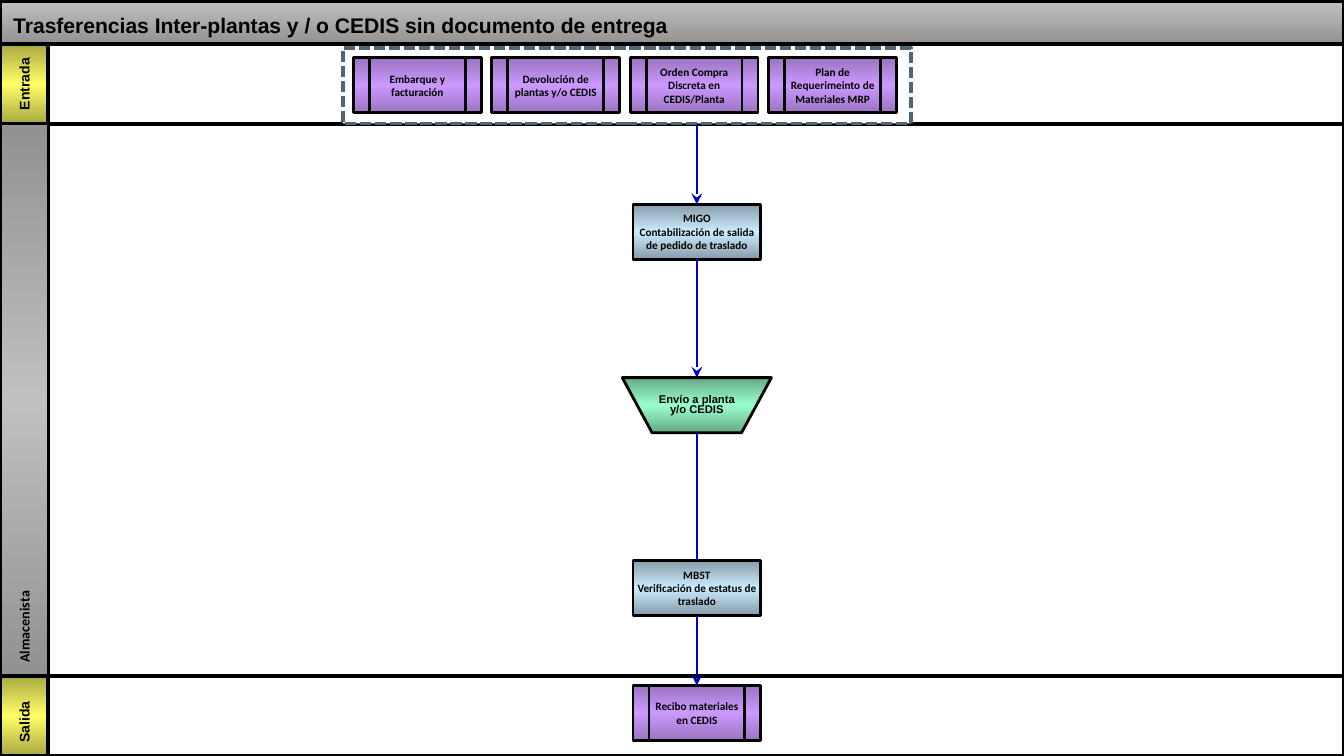
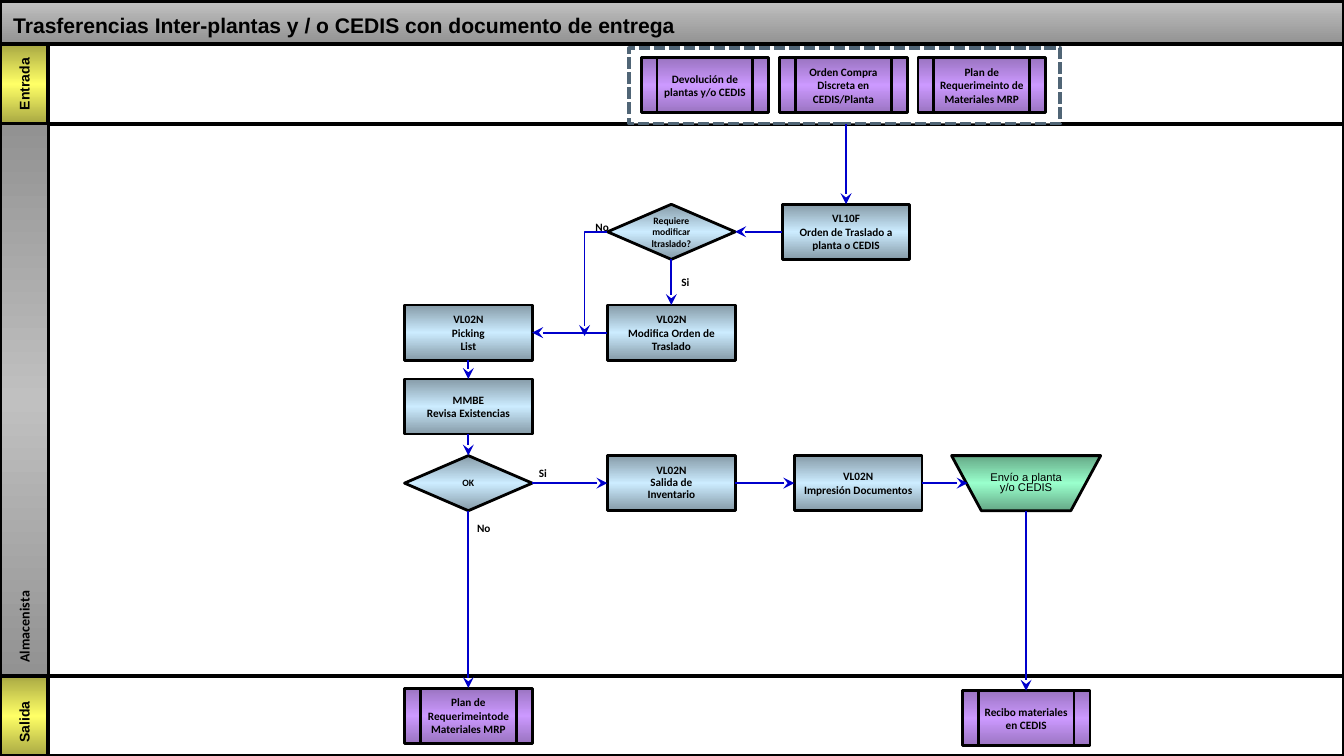
from collections import namedtuple
from dataclasses import dataclass

from lxml.etree import SubElement
from pptx import Presentation
from pptx.dml.color import RGBColor
from pptx.enum.dml import MSO_LINE
from pptx.enum.shapes import MSO_CONNECTOR, MSO_SHAPE
from pptx.enum.text import MSO_ANCHOR, PP_ALIGN
from pptx.oxml.ns import qn
from pptx.util import Inches, Pt


@dataclass(frozen=True)
class Theme:
    page: str = "F2F2F2"
    lane: str = "FFFFFF"
    ink: str = "000000"
    arrow: str = "0000CC"
    dash: str = "506576"
    header: tuple = ("C0C0C0", "929292")
    role: tuple = ("929292", "C0C0C0", "929292")
    gate: tuple = ("A8A843", "FFFF66", "A8A843")
    step: tuple = ("869BA8", "CCECFF", "869BA8")
    process: tuple = ("9A74C1", "CC99FF", "9A74C1")
    manual: tuple = ("65A886", "99FFCC", "65A886")
    heading_font: str = "Arial"
    body_font: str = "Calibri"
    title_size: float = 11.3
    lane_size: float = 7.5
    node_size: float = 6
    decision_size: float = 5.2


THEME = Theme()
Kind = namedtuple("Kind", "preset colors inset size font spacing")
STEP = Kind(MSO_SHAPE.RECTANGLE, THEME.step, 0.02, THEME.node_size, THEME.body_font, None)
DECISION = Kind(MSO_SHAPE.DIAMOND, THEME.step, 0, THEME.decision_size, THEME.body_font, None)
PROCESS = Kind(MSO_SHAPE.FLOWCHART_PREDEFINED_PROCESS, THEME.process, 0,
               THEME.node_size, THEME.body_font, None)
MANUAL = Kind(MSO_SHAPE.FLOWCHART_MANUAL_OPERATION, THEME.manual, 0.02,
              THEME.node_size, THEME.heading_font, 0.8)

WIDTH = 10
HEIGHT = WIDTH * 9 / 16
SIDEBAR = 0.36
ENTRY_TOP, ROLE_TOP, EXIT_TOP = 0.33, 0.92, 5.03
NODE_W, NODE_H, MANUAL_W = 0.95, 0.41, 1.11
ENTRY_NODE_TOP, ENTRY_STEP = 0.43, 1.03


class Box(namedtuple("Box", "left top width height")):
    @property
    def north(self):
        return self.left + self.width / 2, self.top

    @property
    def south(self):
        return self.left + self.width / 2, self.top + self.height

    @property
    def west(self):
        return self.left, self.top + self.height / 2

    @property
    def east(self):
        return self.left + self.width, self.top + self.height / 2


def paint_gradient(shape, colors):
    """Fill from top to bottom with evenly spaced colour stops."""
    shape.fill.gradient()
    shape.fill.gradient_angle = 270
    stops = shape._element.spPr.find(".//" + qn("a:gsLst"))
    for stop in list(stops):
        stops.remove(stop)
    for i, color in enumerate(colors):
        stop = SubElement(stops, qn("a:gs"), pos=str(100000 * i // (len(colors) - 1)))
        SubElement(stop, qn("a:srgbClr"), val=color)


def add_block(slide, box, fill, line_color=THEME.ink, line_width=2, preset=MSO_SHAPE.RECTANGLE):
    """Draw an outlined shape; fill is one colour or a tuple of gradient colours."""
    block = slide.shapes.add_shape(preset, *map(Inches, box))
    block.shadow.inherit = False
    if isinstance(fill, tuple):
        paint_gradient(block, fill)
    else:
        block.fill.solid()
        block.fill.fore_color.rgb = RGBColor.from_string(fill)
    block.line.color.rgb = RGBColor.from_string(line_color)
    block.line.width = Pt(line_width)
    return block


def write(shape, text, size, font, bold=True, align=PP_ALIGN.CENTER,
          anchor=MSO_ANCHOR.MIDDLE, insets=(0, 0, 0, 0), spacing=None, wrap=True):
    """Set text; insets run left, top, right, bottom in inches."""
    frame = shape.text_frame
    frame.text = text
    frame.word_wrap = wrap
    frame.vertical_anchor = anchor
    (frame.margin_left, frame.margin_top,
     frame.margin_right, frame.margin_bottom) = map(Inches, insets)
    for paragraph in frame.paragraphs:
        paragraph.alignment = align
        if spacing:
            paragraph.line_spacing = spacing
        for run in paragraph.runs:
            run.font.size = Pt(size)
            run.font.name = font
            run.font.bold = bold
            run.font.color.rgb = RGBColor.from_string(THEME.ink)


def add_lane(slide, box, name, colors, font, align=PP_ALIGN.CENTER, border=2,
             insets=(0, 0, 0, 0)):
    """Draw a swimlane with its name reading upwards in the sidebar."""
    add_block(slide, box, THEME.lane)
    sidebar = add_block(slide, box._replace(width=SIDEBAR), colors, line_width=border)
    write(sidebar, name, THEME.lane_size, font, align=align, insets=insets)
    sidebar.text_frame._txBody.bodyPr.set("vert", "vert270")


def add_frame(slide, title):
    """Draw the title bar and the three lanes that every flow shares."""
    slide.background.fill.solid()
    slide.background.fill.fore_color.rgb = RGBColor.from_string(THEME.page)
    add_lane(slide, Box(0, ROLE_TOP, WIDTH, EXIT_TOP - ROLE_TOP), "Almacenista",
             THEME.role, THEME.body_font, PP_ALIGN.LEFT, 1.75, (0, 0, 0, 0.1))
    add_lane(slide, Box(0, EXIT_TOP, WIDTH, HEIGHT - EXIT_TOP), "Salida",
             THEME.gate, THEME.heading_font, insets=(0, 0.09, 0, 0))
    add_lane(slide, Box(0, ENTRY_TOP, WIDTH, ROLE_TOP - ENTRY_TOP), "Entrada",
             THEME.gate, THEME.heading_font)
    add_block(slide, Box(0, 0.01, WIDTH, 0.32), THEME.header)
    heading = slide.shapes.add_textbox(0, 0, Inches(WIDTH), Inches(ENTRY_TOP))
    write(heading, title, THEME.title_size, THEME.heading_font, align=PP_ALIGN.LEFT,
          anchor=MSO_ANCHOR.BOTTOM, insets=(0.1, 0.05, 0.1, 0.05))


def add_node(slide, kind, left, top, text, bold=True, spacing=None, wrap=True):
    box = Box(left, top, MANUAL_W if kind is MANUAL else NODE_W, NODE_H)
    node = add_block(slide, box, kind.colors, line_width=1.5, preset=kind.preset)
    write(node, text, kind.size, kind.font, bold, insets=(kind.inset,) * 4,
          spacing=spacing or kind.spacing, wrap=wrap)
    return box


def add_entries(slide, box, first_left, names):
    """Draw the dashed group of incoming processes in a row."""
    group = add_block(slide, box, THEME.lane, THEME.dash)
    group.line.dash_style = MSO_LINE.SQUARE_DOT
    for i, name in enumerate(names):
        add_node(slide, PROCESS, first_left + i * ENTRY_STEP, ENTRY_NODE_TOP, name)


def add_arrow(slide, start, end, bent=False):
    """Link two points; a bent arrow goes sideways first, then down."""
    arrow = slide.shapes.add_connector(
        MSO_CONNECTOR.ELBOW if bent else MSO_CONNECTOR.STRAIGHT, *map(Inches, start + end))
    arrow.line.color.rgb = RGBColor.from_string(THEME.arrow)
    arrow.line.width = Pt(1)
    properties = arrow._element.spPr
    if bent:
        properties.find(qn("a:prstGeom")).set("prst", "bentConnector2")
    SubElement(properties.find(qn("a:ln")), qn("a:tailEnd"), type="stealth")
    SubElement(properties, qn("a:effectLst"))


def add_answer(slide, left, top, text):
    answer = slide.shapes.add_textbox(Inches(left), Inches(top), Inches(0.1), Inches(0.1))
    write(answer, text, THEME.node_size, THEME.body_font, anchor=MSO_ANCHOR.TOP, wrap=False)


RETURN = "Devolución de plantas y/o CEDIS"
ORDER = "Orden Compra\nDiscreta en CEDIS/Planta"
PLAN = "Plan de Requerimeinto de Materiales MRP"
SHIPMENT = "Envío a planta y/o CEDIS"
RECEIPT = "Recibo materiales en CEDIS"


def build_without_delivery(slide):
    add_frame(slide, "Trasferencias Inter-plantas y / o CEDIS sin documento de entrega")
    column = 4.71
    add_entries(slide, Box(2.55, 0.36, 4.23, 0.56), 2.63,
                ["Embarque y facturación", RETURN, ORDER, PLAN])
    issue = add_node(slide, STEP, column, 1.52,
                     "MIGO\nContabilización de salida de pedido de traslado")
    shipment = add_node(slide, MANUAL, column - (MANUAL_W - NODE_W) / 2, 2.81, SHIPMENT)
    receipt = add_node(slide, PROCESS, column, 5.1, RECEIPT)
    add_arrow(slide, (issue.north[0], ROLE_TOP), issue.north)
    add_arrow(slide, issue.south, shipment.north)
    add_arrow(slide, shipment.south, receipt.north)
    add_node(slide, STEP, column, 4.17, "MB5T\nVerificación de estatus de traslado")


def build_with_delivery(slide):
    add_frame(slide, "Trasferencias Inter-plantas y / o CEDIS con documento de entrega")
    left_column, middle_column = 3.01, 4.52
    order_row, change_row, issue_row = 1.52, 2.27, 3.39

    add_entries(slide, Box(4.68, 0.36, 3.21, 0.56), 4.77, [RETURN, ORDER, PLAN])
    order = add_node(slide, STEP, 5.82, order_row, "VL10F\nOrden de Traslado a planta o CEDIS")
    needs_change = add_node(slide, DECISION, middle_column, order_row,
                            "Requiere modificar ltraslado?")
    change = add_node(slide, STEP, middle_column, change_row,
                      "VL02N\nModifica Orden de Traslado")
    picking = add_node(slide, STEP, left_column, change_row, "VL02N\nPicking\nList")
    stock = add_node(slide, STEP, left_column, 2.82, "MMBE\nRevisa Existencias")
    stock_ok = add_node(slide, DECISION, left_column, issue_row, "OK")
    issue = add_node(slide, STEP, middle_column, issue_row, "VL02N\nSalida de\nInventario",
                     spacing=0.9, wrap=False)
    printing = add_node(slide, STEP, 5.91, issue_row, "VL02N\nImpresión Documentos")
    shipment = add_node(slide, MANUAL, 7.08, issue_row, SHIPMENT, bold=False)
    plan = add_node(slide, PROCESS, left_column, 5.12, "Plan de Requerimeintode Materiales MRP")
    receipt = add_node(slide, PROCESS, 7.16, 5.14, RECEIPT)

    slanted_side = (shipment.left + 0.12, shipment.west[1])
    for start, end in (
        ((order.north[0], ROLE_TOP), order.north),
        (order.west, needs_change.east),
        (needs_change.south, change.north),
        (change.west, picking.east),
        (picking.south, stock.north),
        (stock.south, stock_ok.north),
        (stock_ok.east, issue.west),
        (issue.east, printing.west),
        (printing.east, slanted_side),
        (stock_ok.south, plan.north),
        (shipment.south, receipt.north),
    ):
        add_arrow(slide, start, end)
    add_arrow(slide, needs_change.west, (4.35, 2.5), bent=True)

    for left, top, text in ((4.43, 1.64, "No"), (5.05, 2.05, "Si"),
                            (3.99, 3.47, "Si"), (3.55, 3.88, "No")):
        add_answer(slide, left, top, text)


def main():
    deck = Presentation()
    deck.slide_width, deck.slide_height = Inches(WIDTH), Inches(HEIGHT)
    for build in (build_without_delivery, build_with_delivery):
        build(deck.slides.add_slide(deck.slide_layouts[6]))
    deck.save("out.pptx")


if __name__ == "__main__":
    main()
